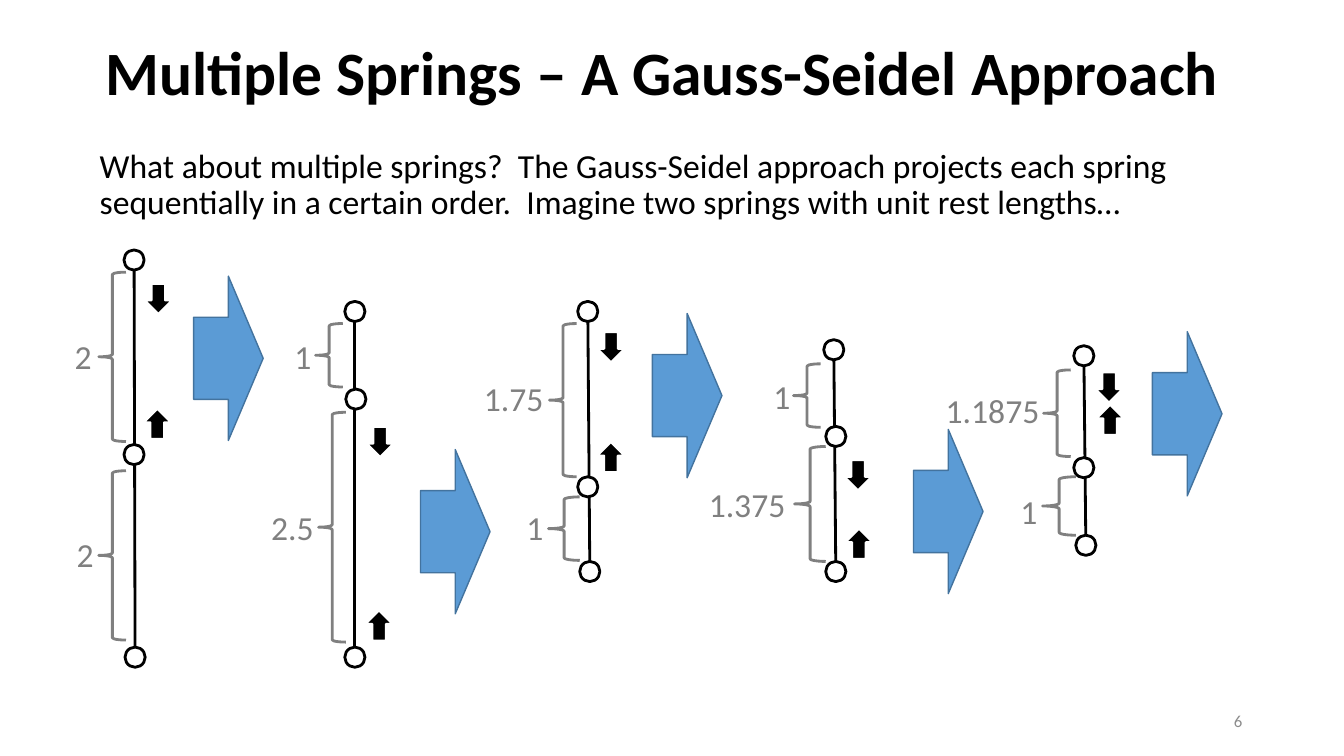
from lxml.etree import SubElement
from pptx import Presentation
from pptx.dml.color import RGBColor
from pptx.enum.shapes import MSO_CONNECTOR as LINK, MSO_SHAPE as FORM
from pptx.enum.text import MSO_ANCHOR as ANCHOR, PP_ALIGN as ALIGN
from pptx.oxml.ns import qn
from pptx.util import Emu, Pt

PX = 9144  # EMU per px, 100 px to the inch
BLACK, WHITE, GREY = "000000", "FFFFFF", "808080"
NODE = 20

# Each stage: top-left corner, node offsets, springs as (value, value offset
# and width, brace offset and size), inward pushes as (offset, rotation),
# and the corner of the step arrow. All offsets are from the stage corner.
DOWN, UP = 90, 270
STAGES = [
    ((123, 248), [(0, 0), (0, 193), (1, 394)],
     [("2", (-49, 85, 53), (-25, 22, 27, 168)),
      ("2", (-47, 282, 53), (-25, 219, 27, 168))],
     [(19, 35, DOWN), (18, 159, UP)], (69, 26)),
    ((342, 299), [(0, 0), (1, 87), (0, 343)],
     [("1", (-50, 34, 53), (-29, 22, 27, 63)),
      ("2.5", (-73, 204, 53), (-26, 110, 27, 228))],
     [(20, 126, DOWN), (19, 308, UP)], (75, 147)),
    ((573, 299), [(0, 0), (0, 174), (2, 258)],
     [("1.75", (-93, 76, 77), (-28, 22, 27, 152)),
      ("1", (-51, 204, 53), (-29, 194, 31, 63))],
     [(18, 32, DOWN), (18, 141, UP)], (74, 12)),
    ((817, 337), [(0, 0), (2, 86), (2, 220)],
     [("1", (-50, 36, 53), (-30, 24, 27, 63)),
      ("1.375", (-114, 143, 106), (-29, 106, 31, 114))],
     [(19, 121, DOWN), (20, 189, UP)], (89, 89)),
    ((1065, 343), [(0, 0), (0, 111), (2, 188)],
     [("1.1875", (-127, 44, 148), (-30, 24, 27, 86)),
      ("1", (-53, 144, 106), (-31, 130, 33, 58))],
     [(20, 28, DOWN), (21, 60, UP)], (78, -14)),
]


def px(*lengths):
    return [Emu(length * PX) for length in lengths]


def color(hex_code):
    return RGBColor.from_string(hex_code)


def add_text(slide, box, text, size, hue=BLACK, bold=False, inset=True,
             anchor=ANCHOR.TOP, align=ALIGN.LEFT, spacing=1.0):
    frame = slide.shapes.add_textbox(*px(*box)).text_frame
    frame.word_wrap = True
    frame.vertical_anchor = anchor
    if not inset:
        frame.margin_left = frame.margin_right = 0
        frame.margin_top = frame.margin_bottom = 0
    line = frame.paragraphs[0]
    line.alignment, line.line_spacing = align, spacing
    run = line.add_run()
    run.text = text
    run.font.name, run.font.size, run.font.bold = "Calibri", Pt(size), bold
    run.font.color.rgb = color(hue)


def add_form(slide, form, box, fill, outline, weight, rotation=0):
    shape = slide.shapes.add_shape(form, *px(*box))
    shape.shadow.inherit = False
    shape.rotation = rotation
    if fill:
        shape.fill.solid()
        shape.fill.fore_color.rgb = color(fill)
    else:
        shape.fill.background()
    shape.line.color.rgb = color(outline)
    shape.line.width = Pt(weight)


def add_spring_line(slide, start, end):
    spring = slide.shapes.add_connector(LINK.STRAIGHT, *px(*start, *end))
    spring.line.color.rgb = color(BLACK)
    spring.line.width = Pt(2)
    SubElement(spring._element.spPr, qn("a:effectLst"))


def add_stage(slide, corner, nodes, springs, pushes, step):
    """Draw one chain of two springs and the arrow to the next stage."""
    left, top = corner

    def place(dx, dy, *size):
        return (left + dx, top + dy, *size)

    centres = [place(dx + NODE // 2, dy + NODE // 2) for dx, dy in nodes]
    add_spring_line(slide, centres[-1], centres[0])
    for node in nodes:
        add_form(slide, FORM.OVAL, place(*node, NODE, NODE), WHITE, BLACK, 2)
    for value, value_box, brace in springs:
        add_form(slide, FORM.LEFT_BRACE, place(*brace), None, GREY, 2)
        add_text(slide, place(*value_box, 40), value, 24, GREY, inset=False)
    for dx, dy, rotation in pushes:
        add_form(slide, FORM.RIGHT_ARROW, place(dx, dy, 30, 27),
                 BLACK, WHITE, 1.5, rotation)
    add_form(slide, FORM.RIGHT_ARROW, place(*step, 69, 163),
             "5B9BD5", "43739E", 1)


def add_heading(slide):
    add_text(slide, (95, 2, 1150, 145),
             "Multiple Springs – A Gauss-Seidel Approach",
             44, bold=True, anchor=ANCHOR.MIDDLE, spacing=0.9)
    add_text(slide, (89, 143, 1185, 85),
             "What about multiple springs?  The Gauss-Seidel approach projects "
             "each spring sequentially in a certain order.  Imagine two springs "
             "with unit rest lengths…", 24, spacing=0.9)


def main():
    deck = Presentation()
    deck.slide_width, deck.slide_height = px(1333, 750)
    slide = deck.slides.add_slide(deck.slide_layouts[6])
    add_heading(slide)
    for stage in STAGES:
        add_stage(slide, *stage)
    add_text(slide, (942, 695, 300, 40), "6", 12, "8C8C8C",
             anchor=ANCHOR.MIDDLE, align=ALIGN.RIGHT)
    deck.save("out.pptx")


if __name__ == "__main__":
    main()
